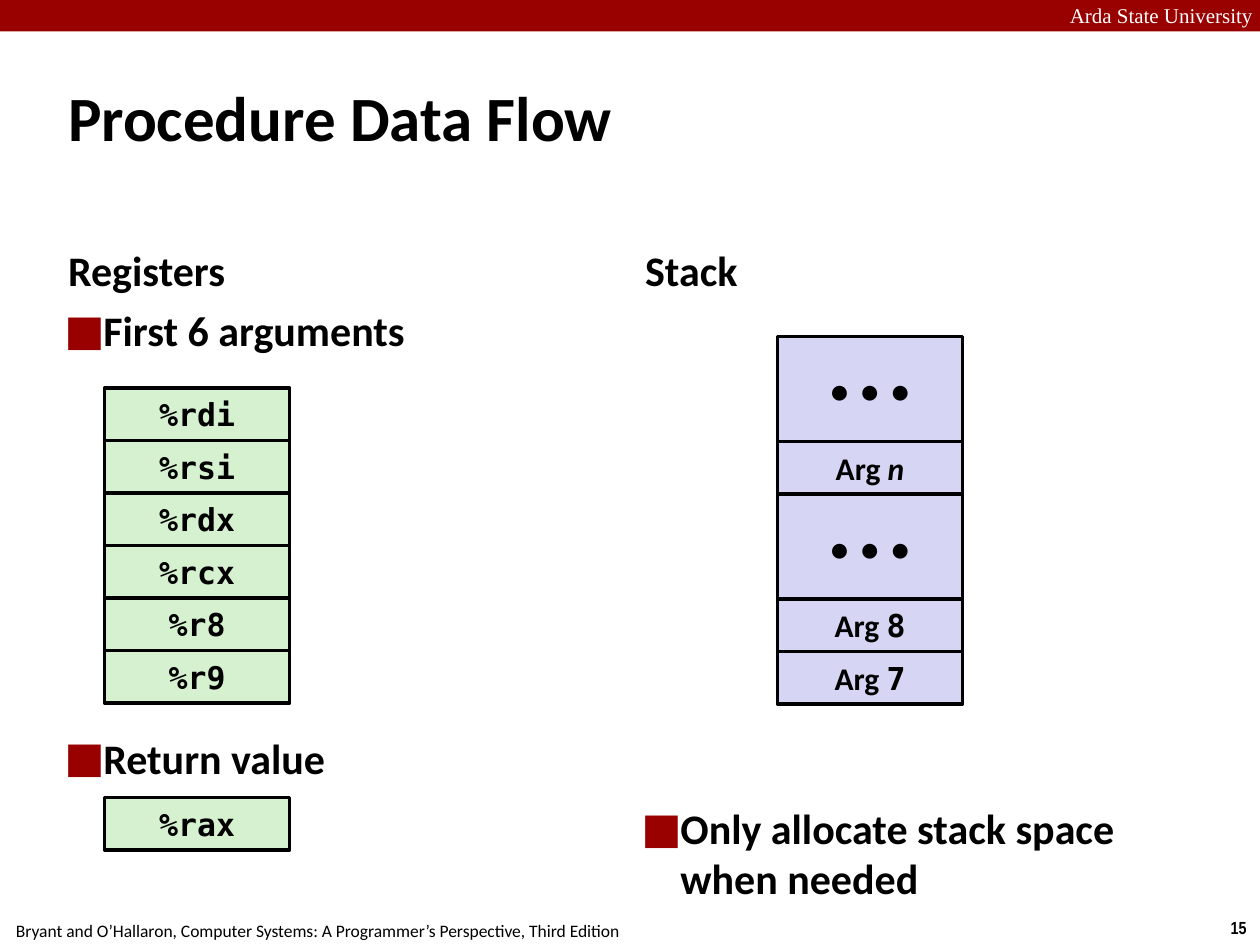
import pptx
import pptx.util
import pptx.dml.color
import pptx.enum.shapes
import pptx.enum.text
import pptx.oxml.ns
import lxml.etree

ALIGN = pptx.enum.text.PP_ALIGN
ANCHOR = pptx.enum.text.MSO_ANCHOR
RED, GREEN, BLUE = "990000", "D5F1CF", "D6D6F4"
MONO = "DejaVu Sans Mono"

# Content
TITLE = "Procedure Data Flow"
SCHOOL = "Arda State University"
SOURCE = ("Bryant and O’Hallaron, Computer Systems: "
          "A Programmer’s Perspective, Third Edition")
PAGE = "15"
HEADS = ["Registers", "Stack"]
POINTS = [  # column, top, text
    (0, 2.38, "First 6 arguments"),
    (0, 5.77, "Return value"),
    (1, 6.33, "Only allocate stack space when needed"),
]
REGS = ["%rdi", "%rsi", "%rdx", "%rcx", "%r8", "%r9"]
RESULT = "%rax"
DOTS = "• • •"
STACK = [  # rows high, runs of (text, format)
    (2, [(DOTS, {"size": 24, "bold": False})]),
    (1, [("Arg ", {}), ("n", {"italic": True})]),
    (2, [(DOTS, {"size": 24, "bold": False})]),
    (1, [("Arg ", {}), ("8", {"font": MONO})]),
    (1, [("Arg ", {}), ("7", {"font": MONO})]),
]

# Grid
WIDE, HIGH = 10, 7.5
COLS, COL_W = [0.5, 5.08], 4.42
CELL_W, ROW = 1.47, 5 / 12
REG_X, REG_Y, RES_Y = 0.83, 3.08, 6.33
STACK_X, STACK_Y = 6.17, 2.67

inch = pptx.util.Inches


def color(code):
    return pptx.dml.color.RGBColor.from_string(code)


def mark(props, sign):
    """Give a paragraph a red bullet."""
    def add(parent, tag, **items):
        name = pptx.oxml.ns.qn("a:" + tag)
        return lxml.etree.SubElement(parent, name, **items)

    add(add(props, "buClr"), "srgbClr", val=RED)
    add(props, "buSzPct", val="130000")
    add(props, "buFont", typeface=MONO)
    add(props, "buChar", char=sign)


def write(shape, text, size=24, font="Calibri", ink="000000", bold=True,
          align=ALIGN.LEFT, anchor=ANCHOR.TOP, pad=(0.04, 0.04), wrap=True,
          indent=0, bullet=None):
    """Fill a shape with one paragraph; text is a string or a list of runs."""
    frame = shape.text_frame
    frame.auto_size = pptx.enum.text.MSO_AUTO_SIZE.NONE
    frame.word_wrap = wrap
    frame.vertical_anchor = anchor
    frame.margin_left = frame.margin_right = inch(pad[0])
    frame.margin_top = frame.margin_bottom = inch(pad[1])
    para = frame.paragraphs[0]
    para.alignment = align
    for part, look in [(text, {})] if isinstance(text, str) else text:
        run = para.add_run()
        run.text = part
        run.font.size = pptx.util.Pt(look.get("size", size))
        run.font.name = look.get("font", font)
        run.font.bold = look.get("bold", bold)
        run.font.italic = look.get("italic", False)
        run.font.color.rgb = color(ink)
    props = para._p.get_or_add_pPr()
    props.set("marL", str(inch(indent)))
    props.set("indent", str(-inch(indent)))
    if bullet:
        mark(props, bullet)


def place(shape, *box):
    shape.left, shape.top, shape.width, shape.height = map(inch, box)


def label(box, text, **look):
    write(slide.shapes.add_textbox(*map(inch, box)), text, **look)


def block(box, fill, line=None):
    rect = pptx.enum.shapes.MSO_SHAPE.RECTANGLE
    shape = slide.shapes.add_shape(rect, *map(inch, box))
    shape.shadow.inherit = False
    shape.fill.solid()
    shape.fill.fore_color.rgb = color(fill)
    if line:
        shape.line.color.rgb = color(line)
        shape.line.width = pptx.util.Pt(2)
    else:
        shape.line.fill.background()
    return shape


def cell(left, top, rows, fill, text, font="Calibri"):
    shape = block((left, top, CELL_W, rows * ROW), fill, "000000")
    write(shape, text, size=18, font=font, align=ALIGN.CENTER,
          anchor=ANCHOR.MIDDLE)


deck = pptx.Presentation()
deck.slide_width, deck.slide_height = inch(WIDE), inch(HIGH)
slide = deck.slides.add_slide(deck.slide_layouts[5])

# Footer and top band
foot = {"size": 10, "align": ALIGN.CENTER, "pad": (0.1, 0.05), "wrap": False}
label((9.66, 7.23, 0.34, 0.27), PAGE, font="Arial Narrow", **foot)
label((-0.02, 7.25, 5.08, 0.27), SOURCE, bold=False, **foot)
block((0, 0, WIDE, 0.25), RED)
label((8.49, 0.02, 1.78, 0.19), SCHOOL, size=12, font="Times New Roman",
      ink="FFFFFF", bold=False, pad=(0, 0))

# Title, column heads and points
title = slide.shapes.title
place(title, 0.5, 0.3, 9, 1.25)
write(title, TITLE, size=36, anchor=ANCHOR.MIDDLE, indent=0.13)
for left, head in zip(COLS, HEADS):
    label((left, 1.68, COL_W, 0.7), head, anchor=ANCHOR.BOTTOM)
for col, top, text in POINTS:
    label((COLS[col], top, COL_W, ROW), text, indent=0.28, bullet="■")

# Registers
for i, name in enumerate(REGS):
    cell(REG_X, REG_Y + i * ROW, 1, GREEN, name, MONO)
cell(REG_X, RES_Y, 1, GREEN, RESULT, MONO)

# Stack
top = STACK_Y
for rows, runs in STACK:
    cell(STACK_X, top, rows, BLUE, runs)
    top += rows * ROW

deck.save("out.pptx")
